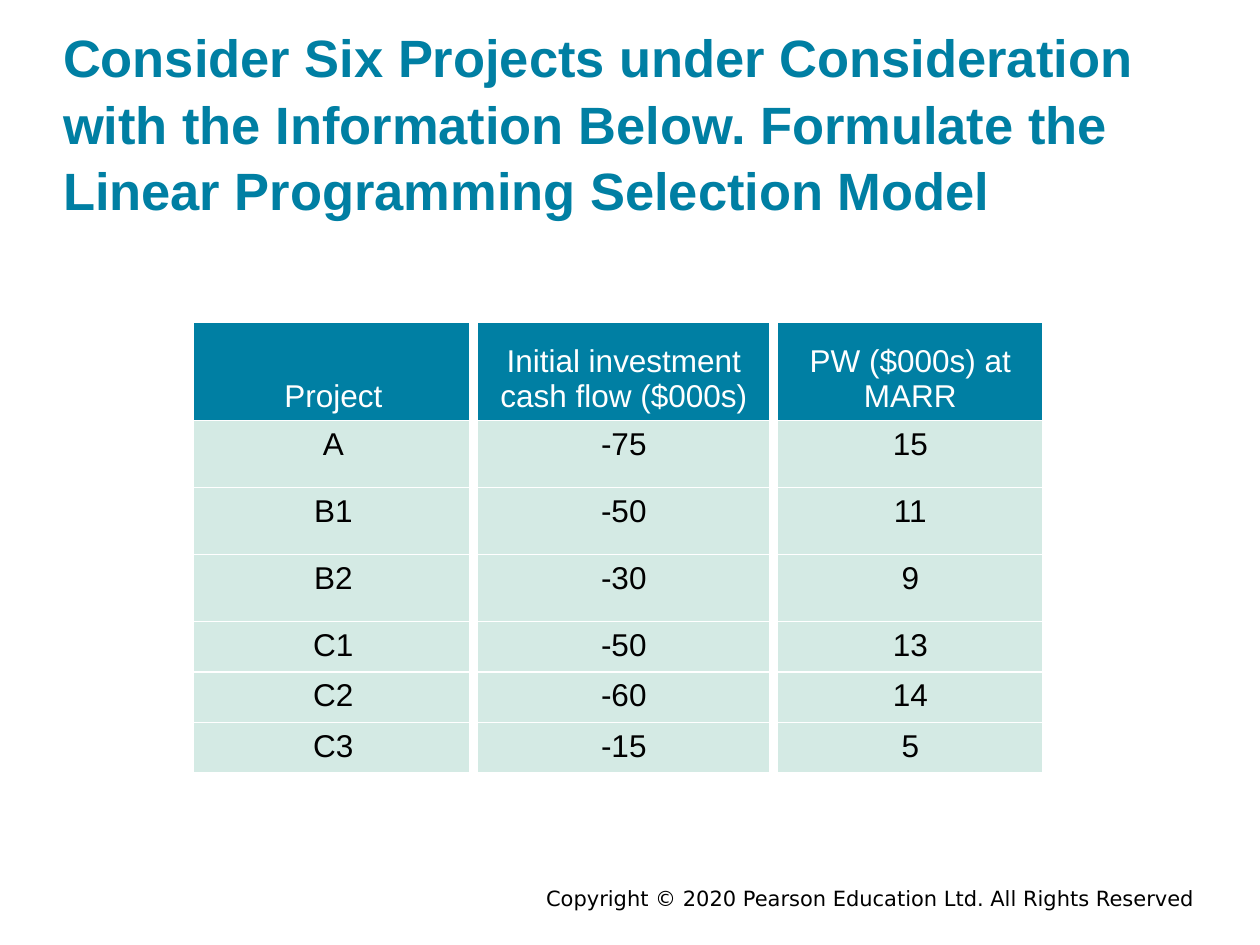
from dataclasses import dataclass

from lxml.etree import SubElement
from pptx import Presentation
from pptx.dml.color import RGBColor
from pptx.enum.text import MSO_ANCHOR, MSO_AUTO_SIZE, PP_ALIGN
from pptx.oxml.ns import qn
from pptx.util import Cm, Pt


@dataclass(frozen=True)
class Theme:
    """Colours, fonts and type sizes of the slide."""
    accent: str = "007FA3"
    band: str = "D4EAE4"
    white: str = "FFFFFF"
    black: str = "000000"
    font: str = "Arial"
    footer_font: str = "DejaVu Sans"
    title_size: int = 30
    table_size: int = 18
    footer_size: int = 12
    column_gap: float = 6
    row_rule: float = 0.75


THEME = Theme()
TITLE = ("Consider Six Projects under Consideration with the Information Below. "
         "Formulate the Linear Programming Selection Model")
COPYRIGHT = "Copyright © 2020 Pearson Education Ltd. All Rights Reserved"
PROJECTS = [
    ("Project", "Initial investment cash flow ($000s)", "PW ($000s) at MARR"),
    ("A", "-75", "15"),
    ("B1", "-50", "11"),
    ("B2", "-30", "9"),
    ("C1", "-50", "13"),
    ("C2", "-60", "14"),
    ("C3", "-15", "5"),
]
COLUMN_WIDTHS = [5.66, 6.05, 5.5]
ROW_HEIGHTS = [1.98] + [1.35] * 3 + [0.89] * 3


def set_attributes(target, values):
    """Set every attribute named in the dict of values."""
    for name, value in values.items():
        setattr(target, name, value)


def write_text(frame, text, alignment, color, **font_values):
    """Fill a text frame with one formatted paragraph."""
    paragraph = frame.paragraphs[0]
    paragraph.text = text
    paragraph.alignment = alignment
    set_attributes(paragraph.font, font_values)
    paragraph.font.color.rgb = RGBColor.from_string(color)
    return paragraph


def place_shape(shape, box):
    """Move a text shape to its box and clear its margins."""
    set_attributes(shape, dict(zip(("left", "top", "width", "height"), map(Cm, box))))
    set_attributes(shape.text_frame, {
        "margin_left": 0, "margin_top": 0, "margin_right": 0, "margin_bottom": 0,
        "word_wrap": True})


def add_title(slide, box):
    """Format the title placeholder inside the box."""
    shape = slide.shapes.title
    place_shape(shape, box)
    set_attributes(shape.text_frame, {
        "vertical_anchor": MSO_ANCHOR.BOTTOM,
        "auto_size": MSO_AUTO_SIZE.SHAPE_TO_FIT_TEXT})
    paragraph = write_text(shape.text_frame, TITLE, PP_ALIGN.LEFT, THEME.accent,
                           name=THEME.font, size=Pt(THEME.title_size), bold=True)
    paragraph.line_spacing = 1.05


def add_borders(cell, widths):
    """Draw white cell borders, given as tag and point width in schema order."""
    properties = cell._tc.get_or_add_tcPr()
    for position, (tag, width) in enumerate(widths.items()):
        line = SubElement(properties, qn(f"a:{tag}"), w=str(Pt(width)))
        fill = SubElement(line, qn("a:solidFill"))
        SubElement(fill, qn("a:srgbClr"), val=THEME.white)
        properties.insert(position, line)


def format_cell(cell, text, is_header, has_left_border):
    """Write and colour one table cell."""
    cell.fill.solid()
    cell.fill.fore_color.rgb = RGBColor.from_string(THEME.accent if is_header else THEME.band)
    cell.vertical_anchor = MSO_ANCHOR.BOTTOM if is_header else MSO_ANCHOR.TOP
    write_text(cell.text_frame, text, PP_ALIGN.CENTER,
               THEME.white if is_header else THEME.black,
               name=THEME.font, size=Pt(THEME.table_size), bold=False)
    widths = {"lnL": THEME.column_gap} if has_left_border else {}
    widths.update(lnR=THEME.column_gap, lnT=THEME.row_rule, lnB=THEME.row_rule)
    add_borders(cell, widths)


def add_project_table(slide, box):
    """Add the table of projects inside the box."""
    table = slide.shapes.add_table(len(PROJECTS), len(COLUMN_WIDTHS), *map(Cm, box)).table
    set_attributes(table, {"first_row": False, "horz_banding": False})
    for column, width in zip(table.columns, COLUMN_WIDTHS):
        column.width = Cm(width)
    for row, height in zip(table.rows, ROW_HEIGHTS):
        row.height = Cm(height)
    for row_index, values in enumerate(PROJECTS):
        for column_index, value in enumerate(values):
            format_cell(table.cell(row_index, column_index), value,
                        row_index == 0, column_index > 0)


def add_footer(slide, box):
    """Add the right-aligned copyright line inside the box."""
    shape = slide.shapes.add_textbox(*map(Cm, box))
    place_shape(shape, box)
    write_text(shape.text_frame, COPYRIGHT, PP_ALIGN.RIGHT, THEME.black,
               name=THEME.footer_font, size=Pt(THEME.footer_size))


def main():
    """Build and save the presentation."""
    presentation = Presentation()
    set_attributes(presentation, {"slide_width": Cm(25.4), "slide_height": Cm(19.05)})
    slide = presentation.slides.add_slide(presentation.slide_layouts[5])
    add_footer(slide, (7.21, 17.86, 16.87, 0.76))
    add_title(slide, (1.27, 0.61, 22.81, 3.84))
    add_project_table(slide, (3.89, 6.5, sum(COLUMN_WIDTHS), sum(ROW_HEIGHTS)))
    presentation.save("out.pptx")


if __name__ == "__main__":
    main()
